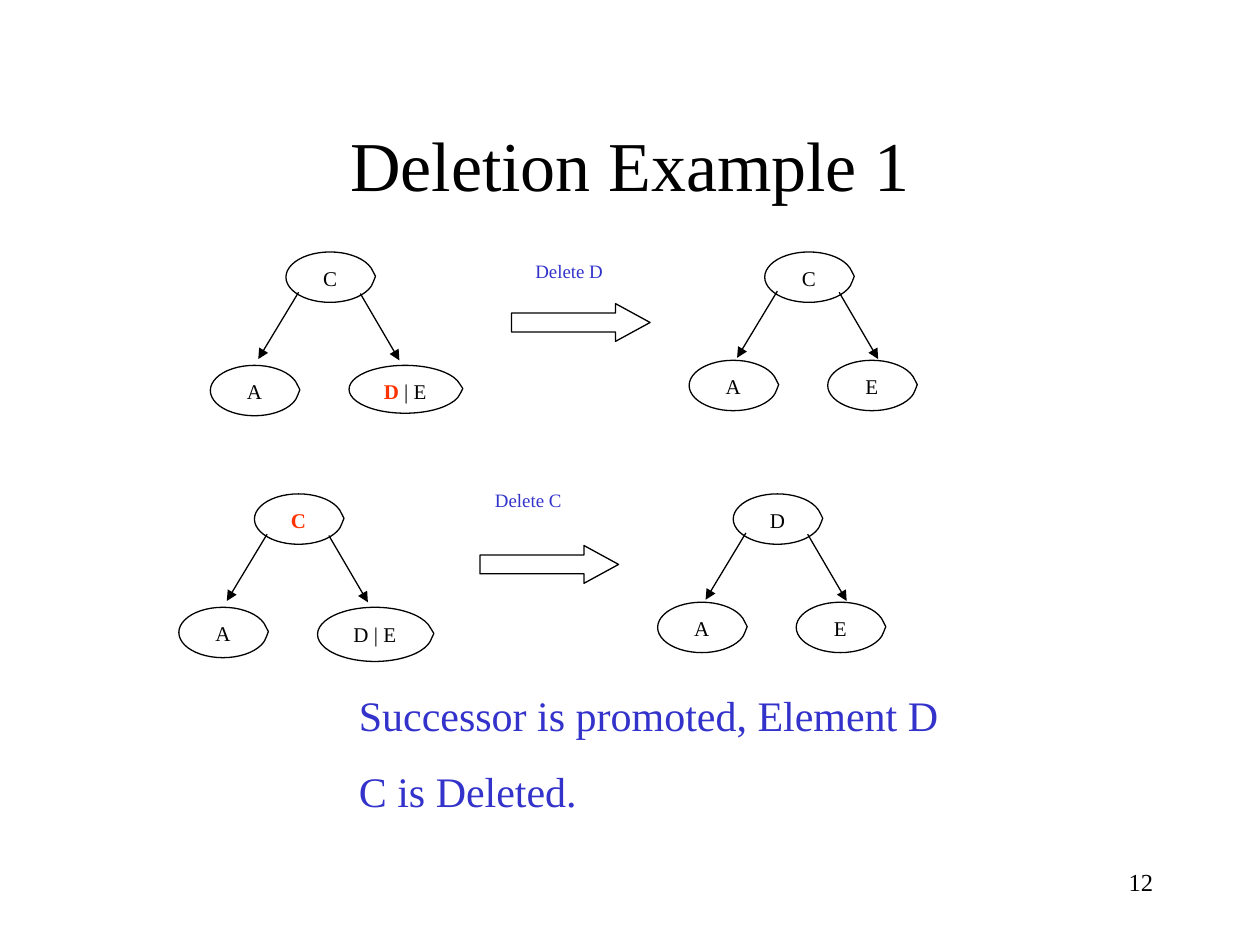
"""Build a slide showing two deletions from a 2-3 tree."""
import pptx
import pptx.util
import pptx.dml.color
import pptx.enum.shapes
import pptx.enum.text
import pptx.oxml
import pptx.oxml.ns
from lxml import etree

BLACK = pptx.dml.color.RGBColor(0x00, 0x00, 0x00)
WHITE = pptx.dml.color.RGBColor(0xFF, 0xFF, 0xFF)
RED = pptx.dml.color.RGBColor(0xFF, 0x33, 0x00)
BLUE = pptx.dml.color.RGBColor(0x33, 0x33, 0xCC)
FONT = "Times New Roman"
KIND = pptx.enum.shapes.MSO_SHAPE
ALIGN = pptx.enum.text.PP_ALIGN
ANCHOR = pptx.enum.text.MSO_ANCHOR
SIZE = (10, 7.5)

TITLE = "Deletion Example 1"
NOTES = ["Successor is promoted, Element D", "C is Deleted."]
PAGE = "12"
STEPS = [
    {"at": (2.27, 2), "label": "Delete D", "spot": (4.15, 2.01), "doomed": "D",
     "before": ("C", "A", "D | E"), "wide": (0.89, 0.38), "after": ("C", "A", "E")},
    {"at": (2.02, 3.92), "label": "Delete C", "spot": (3.83, 3.83), "doomed": "C",
     "before": ("C", "A", "D | E"), "wide": (0.91, 0.43), "after": ("D", "A", "E")},
]
NODE = (0.7, 0.4)
SPAN = 3.8
LIFT = 0.04
KIDS = [(-0.6, 0.9), (0.5, 0.9)]
EDGES = [((0.1, 0.32), (-0.22, 0.85)), ((0.59, 0.33), (0.9, 0.86))]


def inches(*nums):
    return [pptx.util.Inches(num) for num in nums]


def write(shape, lines, size, color=BLACK, align=ALIGN.LEFT, anchor=ANCHOR.TOP, gap=0):
    frame = shape.text_frame
    frame.word_wrap = True
    frame.vertical_anchor = anchor
    frame.text = "\n".join(lines)
    for par in frame.paragraphs:
        par.alignment = align
        par.space_before = pptx.util.Pt(gap)
        par.font.name = FONT
        par.font.size = pptx.util.Pt(size)
        par.font.color.rgb = color


def draw(slide, kind, box, line=True):
    shape = slide.shapes.add_shape(kind, *inches(*box))
    shape.shadow.inherit = False
    shape.fill.solid()
    shape.fill.fore_color.rgb = WHITE
    if line:
        shape.line.color.rgb = BLACK
        shape.line.width = pptx.util.Pt(0.75)
    else:
        shape.line.fill.background()
    return shape


def node(slide, spot, size, text, doomed):
    shape = draw(slide, KIND.OVAL_CALLOUT, (*spot, *size))
    shape.adjustments[0], shape.adjustments[1] = 0.515, -0.016
    write(shape, [text], 12, align=ALIGN.CENTER)
    if text[0] == doomed:
        par = shape.text_frame.paragraphs[0]
        mark = par.runs[0]
        mark.text = doomed
        mark.font.bold = True
        mark.font.color.rgb = RED
        if text[1:]:
            par.add_run().text = text[1:]


def edge(slide, start, end):
    link = slide.shapes.add_connector(
        pptx.enum.shapes.MSO_CONNECTOR.STRAIGHT, *inches(*start, *end))
    link.line.color.rgb = BLACK
    link.line.width = pptx.util.Pt(0.75)
    tip = etree.SubElement(link.line._get_or_add_ln(), pptx.oxml.ns.qn("a:tailEnd"))
    tip.set("type", "triangle")
    etree.SubElement(link._element.spPr, pptx.oxml.ns.qn("a:effectLst"))


def tree(slide, root, keys, last=NODE, doomed=None, lift=0):
    left, top = root
    spots = [root] + [(left + x, top + y - lift) for x, y in KIDS]
    for spot, size, key in zip(spots, (NODE, NODE, last), keys):
        node(slide, spot, size, key, doomed)
    rise = lift / 4
    for start, end in EDGES:
        edge(slide, *[(left + x, top + y - rise) for x, y in (start, end)])


def step(slide, item):
    left, top = item["at"]
    tree(slide, (left, top), item["before"], item["wide"], item["doomed"])
    tree(slide, (left + SPAN, top), item["after"], lift=LIFT)
    arrow = draw(slide, KIND.RIGHT_ARROW, (left + 1.79, top + 0.41, 1.1, 0.3))
    arrow.adjustments[0], arrow.adjustments[1] = 0.5, 0.915
    label = draw(slide, KIND.RECTANGLE, (*item["spot"], 0.9, 0.3), line=False)
    write(label, [item["label"]], 10.8, BLUE)


def main():
    deck = pptx.Presentation()
    deck.slide_width, deck.slide_height = inches(*SIZE)
    slide = deck.slides.add_slide(deck.slide_layouts[6])
    title = slide.shapes.add_textbox(*inches(0.75, 0.67, 8.5, 1.25))
    write(title, [TITLE], 40, align=ALIGN.CENTER, anchor=ANCHOR.MIDDLE)
    for item in STEPS:
        step(slide, item)
    notes = slide.shapes.add_textbox(*inches(2.75, 5.42, 6, 1.11))
    write(notes, NOTES, 24, BLUE, gap=15)
    page = slide.shapes.add_textbox(*inches(7.17, 6.83, 2.08, 0.5))
    write(page, [PAGE], 14, align=ALIGN.RIGHT)
    deck.save("out.pptx")


if __name__ == "__main__":
    main()
